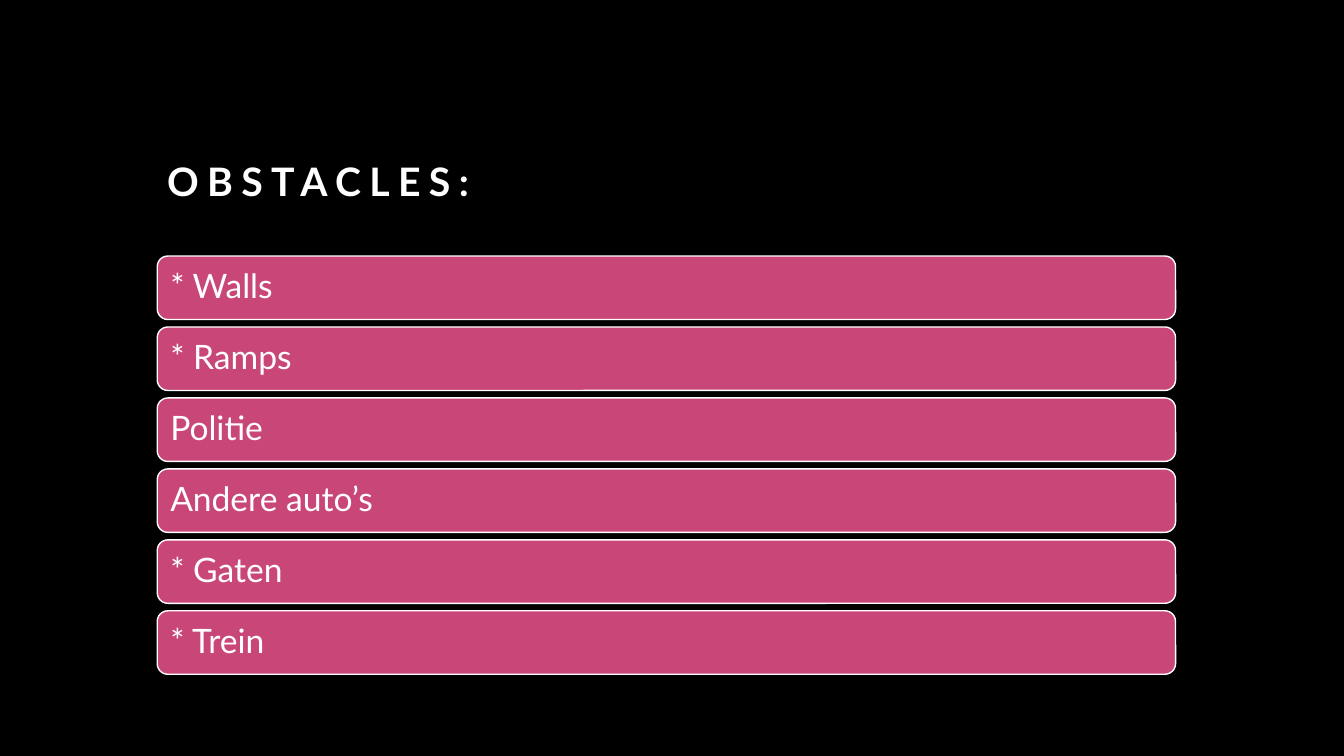
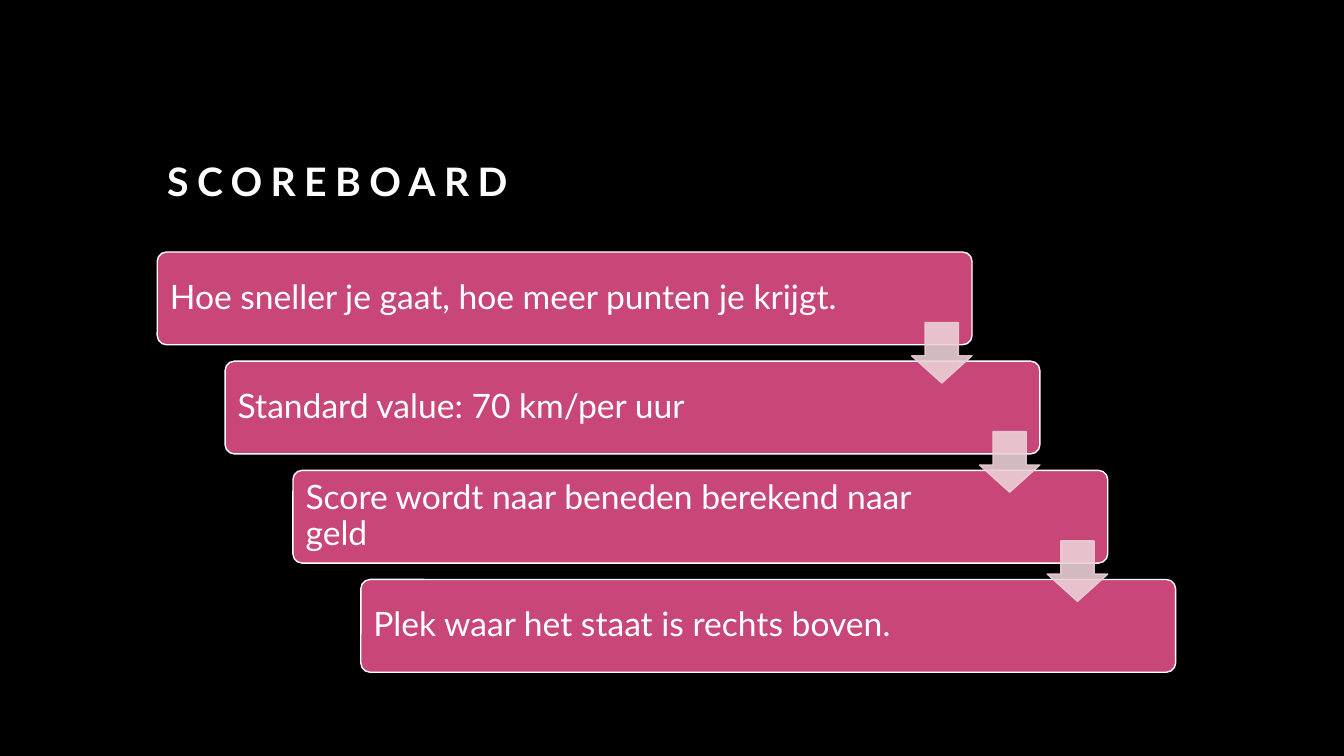
"""Build two dark slides: a list of obstacles and a scoreboard staircase."""
from dataclasses import dataclass

from lxml import etree
from pptx import Presentation
from pptx import util as u
from pptx.dml.color import RGBColor
from pptx.enum import shapes, text
from pptx.oxml.ns import qn

WIDTH, HEIGHT = 13.33, 7.5
LEFT, SPAN = 1.56, 10.1
BLACK, WHITE, PINK, BLUSH = "000000", "FFFFFF", "C94778", "EBCFD6"
TITLE_FONT = {"name": "Lato", "size": u.Pt(28), "bold": True}
CARD_FONT = {"name": "Lato", "size": u.Pt(24), "bold": False}
TITLE_LINES = {"line_spacing": 1.2}
CARD_LINES = {"line_spacing": 0.9, "space_after": u.Pt(10), "alignment": text.PP_ALIGN.LEFT}
TITLE_FRAME = {"word_wrap": True, "vertical_anchor": text.MSO_ANCHOR.BOTTOM}
CARD_FRAME = {"word_wrap": True, "vertical_anchor": text.MSO_ANCHOR.MIDDLE}
PADDING = 0.1


@dataclass(frozen=True)
class Box:
    """Place and size in inches."""
    left: float
    top: float
    width: float
    height: float

    def lengths(self) -> list[int]:
        """Return the four lengths in slide units."""
        return [u.Inches(v) for v in (self.left, self.top, self.width, self.height)]


@dataclass(frozen=True)
class Stack:
    """Evenly spaced cards, each shifted right by the same indent."""
    top: float
    pitch: float
    width: float
    height: float
    rounding: float
    indent: float = 0

    def cell(self, row: int) -> Box:
        """Return the box of one card."""
        return Box(LEFT + row * self.indent, self.top + row * self.pitch, self.width, self.height)


@dataclass(frozen=True)
class Step:
    """A scoreboard rule and the room kept free at its right."""
    wording: str
    margin: float


TITLE_BOX = Box(LEFT, 1.14, SPAN, 0.94)
OBSTACLE_STACK = Stack(2.54, 0.704, SPAN, 0.63, 0.167)
STEP_INDENT = 0.673
STEP_STACK = Stack(2.5, 1.083, SPAN - 3 * STEP_INDENT, 0.92, 0.1, STEP_INDENT)
ARROW_SIZE, ARROW_DROP = 0.6, 0.7
OBSTACLES = ["* Walls", "* Ramps", "Politie", "Andere auto’s", "* Gaten", "* Trein"]
STEPS = [
    Step("Hoe sneller je gaat, hoe meer punten je krijgt.", 1.11),
    Step("Standard value: 70 km/per uur", 1.37),
    Step("Score wordt naar beneden berekend naar geld", 1.37),
    Step("Plek waar het staat is rechts boven.", 1.37),
]


def colour(code: str) -> RGBColor:
    """Turn a hex string into a colour."""
    return RGBColor.from_string(code)


def assign(target, values: dict) -> None:
    """Set every attribute named in the format values."""
    for name, value in values.items():
        setattr(target, name, value)


def write(holder, wording: str, frame: dict, lines: dict, font: dict) -> None:
    """Put one formatted white paragraph into a shape."""
    assign(holder.text_frame, frame)
    paragraph = holder.text_frame.paragraphs[0]
    assign(paragraph, lines)
    run = paragraph.add_run()
    run.text = wording
    assign(run.font, font)
    run.font.color.rgb = colour(WHITE)


def add_figure(slide, preset, box: Box, fill: str, line: str, adjustments: list[float]):
    """Add a flat preset shape with a one-point outline."""
    figure = slide.shapes.add_shape(preset, *box.lengths())
    figure.shadow.inherit = False
    figure.fill.solid()
    figure.fill.fore_color.rgb = colour(fill)
    figure.line.color.rgb = colour(line)
    figure.line.width = u.Pt(1)
    for index, value in enumerate(adjustments):
        figure.adjustments[index] = value
    return figure


def add_card(slide, stack: Stack, row: int, wording: str, margin: float = PADDING) -> None:
    """Add one rounded pink card of a stack."""
    card = add_figure(slide, shapes.MSO_SHAPE.ROUNDED_RECTANGLE, stack.cell(row),
                      PINK, WHITE, [stack.rounding])
    sides = {f"margin_{side}": u.Inches(PADDING) for side in ("left", "top", "bottom")}
    frame = CARD_FRAME | sides | {"margin_right": u.Inches(margin)}
    write(card, wording, frame, CARD_LINES, CARD_FONT)


def add_step_arrow(slide, row: int) -> None:
    """Add the translucent arrow that leads from one step to the next."""
    step = STEP_STACK.cell(row)
    box = Box(step.left + step.width - ARROW_SIZE, step.top + ARROW_DROP, ARROW_SIZE, ARROW_SIZE)
    arrow = add_figure(slide, shapes.MSO_SHAPE.DOWN_ARROW, box, BLUSH, BLUSH, [0.55, 0.45])
    for tint in arrow.element.spPr.iter(qn("a:srgbClr")):
        etree.SubElement(tint, qn("a:alpha")).set("val", "90000")


def add_titled_slide(deck, title: str):
    """Add a blank slide with the shared spaced-out title."""
    slide = deck.slides.add_slide(deck.slide_layouts[6])
    heading = slide.shapes.add_textbox(*TITLE_BOX.lengths())
    write(heading, title, TITLE_FRAME, TITLE_LINES, TITLE_FONT)
    run = heading.text_frame.paragraphs[0].runs[0]
    run.font._element.set("spc", "600")
    return slide


def main() -> None:
    """Build and save the deck."""
    deck = Presentation()
    assign(deck, {"slide_width": u.Inches(WIDTH), "slide_height": u.Inches(HEIGHT)})
    backdrop = deck.slide_master.background.fill
    backdrop.solid()
    backdrop.fore_color.rgb = colour(BLACK)

    obstacles = add_titled_slide(deck, "OBSTACLES:")
    for row, wording in enumerate(OBSTACLES):
        add_card(obstacles, OBSTACLE_STACK, row, wording)

    scoreboard = add_titled_slide(deck, "SCOREBOARD")
    for row, step in enumerate(STEPS):
        add_card(scoreboard, STEP_STACK, row, step.wording, step.margin)
    for row in range(len(STEPS) - 1):
        add_step_arrow(scoreboard, row)

    deck.save("out.pptx")


if __name__ == "__main__":
    main()
